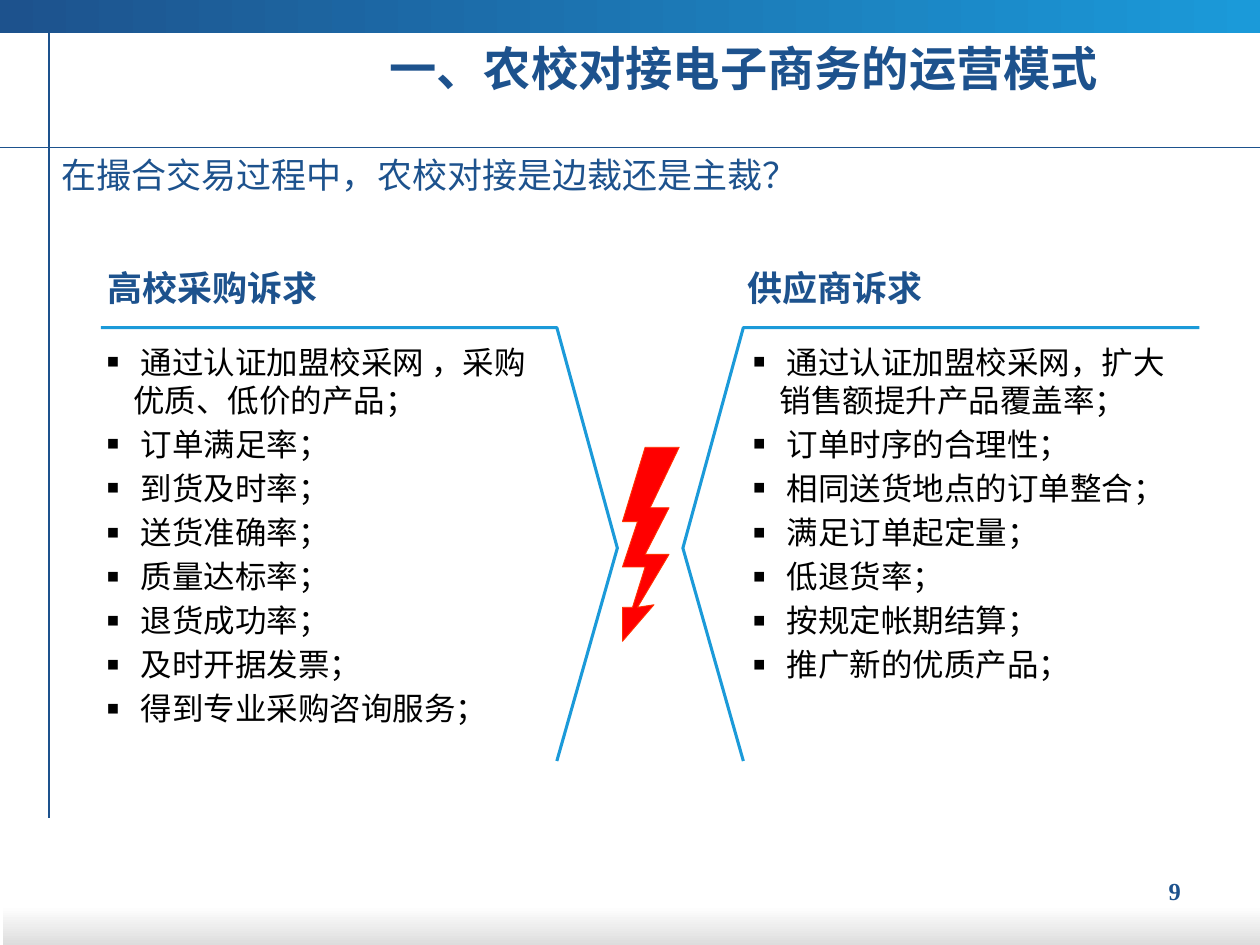
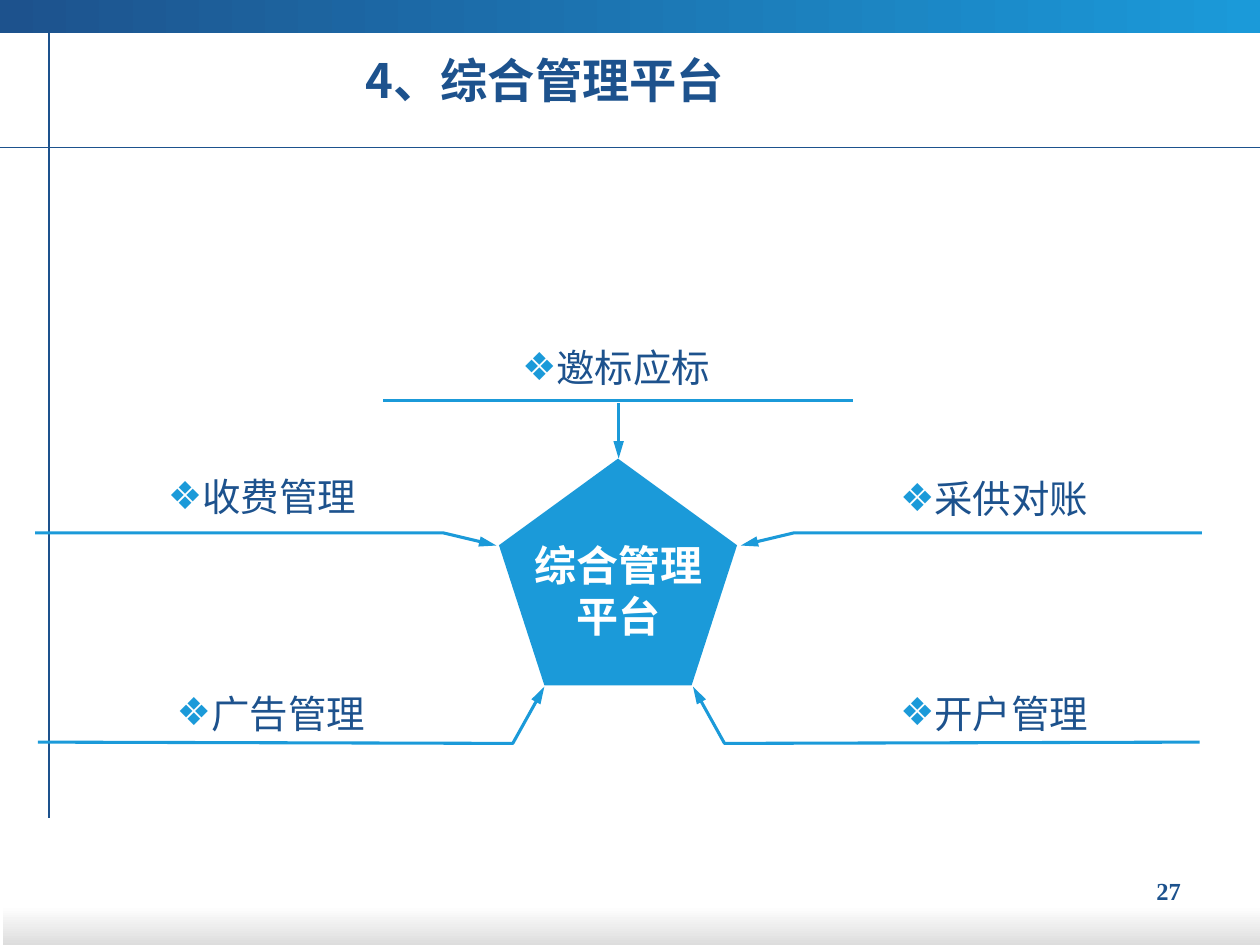
import pptx
import pptx.util
import pptx.dml.color
import pptx.enum.shapes
import pptx.enum.text
import pptx.oxml.ns
from lxml import etree

Inches = pptx.util.Inches
Pt = pptx.util.Pt
RGBColor = pptx.dml.color.RGBColor
MSO_SHAPE = pptx.enum.shapes.MSO_SHAPE
ALIGN = pptx.enum.text.PP_ALIGN
ANCHOR = pptx.enum.text.MSO_ANCHOR
AUTO_SIZE = pptx.enum.text.MSO_AUTO_SIZE
qn = pptx.oxml.ns.qn

NAVY = RGBColor(0x1D, 0x52, 0x8D)
SKY = RGBColor(0x1B, 0x9A, 0xD9)
BLACK = RGBColor(0, 0, 0)
WHITE = RGBColor(255, 255, 255)
GREY = RGBColor(0xDD, 0xDD, 0xDD)
RED = RGBColor(255, 0, 0)
ORANGE_RED = RGBColor(0xFF, 0x33, 0)

CJK_FONT = "Noto Sans CJK SC"
RULE_WIDTH = 1.75
LINE_HEIGHT = 1.2

BUYER_NEEDS = [
    "通过认证加盟校采网 ，采购优质、低价的产品；",
    "订单满足率；",
    "到货及时率；",
    "送货准确率；",
    "质量达标率；",
    "退货成功率；",
    "及时开据发票；",
    "得到专业采购咨询服务；",
]
SUPPLIER_NEEDS = [
    "通过认证加盟校采网，扩大销售额提升产品覆盖率；",
    "订单时序的合理性；",
    "相同送货地点的订单整合；",
    "满足订单起定量；",
    "低退货率；",
    "按规定帐期结算；",
    "推广新的优质产品；",
]
BOLT_POINTS = [
    (0.18, 0), (0, 0.59), (0.12, 0.59), (0, 0.95), (0.18, 0.95),
    (0.08, 1.27), (0, 1.27), (0, 1.54), (0.25, 1.25), (0.12, 1.27),
    (0.37, 0.85), (0.18, 0.85), (0.37, 0.48), (0.22, 0.48), (0.45, 0),
]


def add_span(para, text, size, color, font=CJK_FONT, bold=False):
    span = para.add_run()
    span.text = text
    span.font.size = Pt(size)
    span.font.name = font
    span.font.bold = bold
    span.font.color.rgb = color
    east_asian = etree.SubElement(span.font._element, qn("a:ea"))
    east_asian.set("typeface", CJK_FONT)
    para.line_spacing = Pt(round(size * LINE_HEIGHT, 1))


def add_bullet(para, symbol, color, percent=100):
    properties = para._p.get_or_add_pPr()
    bullet_color = etree.SubElement(properties, qn("a:buClr"))
    etree.SubElement(bullet_color, qn("a:srgbClr")).set("val", str(color))
    etree.SubElement(properties, qn("a:buSzPct")).set("val", str(percent * 1000))
    etree.SubElement(properties, qn("a:buFont")).set("typeface", "DejaVu Sans")
    etree.SubElement(properties, qn("a:buChar")).set("char", symbol)


def add_box(page, left, top, width, height, anchor=ANCHOR.TOP, inset=True):
    """Add a wrapping text box and return its text frame."""
    box = page.shapes.add_textbox(Inches(left), Inches(top), Inches(width), Inches(height))
    frame = box.text_frame
    frame.word_wrap = True
    frame.vertical_anchor = anchor
    if not inset:
        frame.margin_left = frame.margin_right = 0
        frame.margin_top = frame.margin_bottom = 0
    return frame


def add_rule(page, start, end, color, width):
    rule = page.shapes.add_connector(
        pptx.enum.shapes.MSO_CONNECTOR.STRAIGHT, *map(Inches, start + end))
    rule.line.color.rgb = color
    rule.line.width = Pt(width)
    etree.SubElement(rule._element.spPr, qn("a:effectLst"))
    return rule


def add_arrowhead(shape, end):
    head = etree.SubElement(shape.line._get_or_add_ln(), qn("a:" + end))
    head.set("type", "triangle")
    head.set("len", "lg")


def add_outline(page, points, color, width, fill=None):
    """Draw a path through points in inches; a fill closes it."""
    corners = [(Inches(x), Inches(y)) for x, y in points]
    builder = page.shapes.build_freeform(*corners[0])
    builder.add_line_segments(corners[1:], close=fill is not None)
    outline = builder.convert_to_shape()
    outline.shadow.inherit = False
    if fill is None:
        outline.fill.background()
    else:
        outline.fill.solid()
        outline.fill.fore_color.rgb = fill
    outline.line.color.rgb = color
    outline.line.width = Pt(width)
    return outline


def add_band(page, left, top, width, height, colors, angle):
    band = page.shapes.add_shape(
        MSO_SHAPE.RECTANGLE, Inches(left), Inches(top), Inches(width), Inches(height))
    band.shadow.inherit = False
    band.line.fill.background()
    band.fill.gradient()
    band.fill.gradient_angle = angle
    for stop, color in zip(band.fill.gradient_stops, colors):
        stop.color.rgb = color


def add_page(deck, title, title_left, title_top, number):
    """Add a slide with the shared bands, guide lines, page number and title."""
    page = deck.slides.add_slide(deck.slide_layouts[5])
    add_band(page, 0.02, 7.19, 9.98, 0.31, (WHITE, GREY), 270)
    add_band(page, 0, 0, 10, 0.26, (NAVY, SKY), 0)
    para = add_box(page, 8.62, 6.9, 0.85, 0.34).paragraphs[0]
    para.alignment = ALIGN.RIGHT
    add_span(para, str(number), 14, NAVY, "Times New Roman", True)
    add_rule(page, (0, 1.17), (10, 1.17), NAVY, 0.75)
    add_rule(page, (0.39, 0.24), (0.39, 6.49), NAVY, 0.75)

    heading = page.shapes.title
    heading.left, heading.top = Inches(title_left), Inches(title_top)
    heading.width, heading.height = Inches(7.01), Inches(0.58)
    frame = heading.text_frame
    frame.auto_size = AUTO_SIZE.NONE
    frame.word_wrap = True
    frame.vertical_anchor = ANCHOR.BOTTOM
    frame.paragraphs[0].alignment = ALIGN.LEFT
    add_span(frame.paragraphs[0], title, 27, NAVY, bold=True)
    return page


def add_needs_panel(page, left, top, heading, needs, heading_inset, list_inset, mirrored=False):
    """Draw a heading, a bracket pointing to the middle and a bulleted list."""
    width = 4.1
    bracket = [(0, 0), (3.62, 0), (width, 1.75), (3.62, 3.44)]
    add_outline(page, [(left + (width - x if mirrored else x), top + y) for x, y in bracket],
                SKY, RULE_WIDTH)
    frame = add_box(page, left + heading_inset, top - 0.48, 3.5, 0.33, ANCHOR.MIDDLE, False)
    add_span(frame.paragraphs[0], heading, 20, NAVY, "Arial", True)

    frame = add_box(page, left + list_inset, top + 0.12, 3.5, 4.55, inset=False)
    for index, need in enumerate(needs):
        para = frame.add_paragraph() if index else frame.paragraphs[0]
        properties = para._p.get_or_add_pPr()
        properties.set("marL", str(Inches(0.21)))
        properties.set("indent", str(-Inches(0.21)))
        if index:
            para.space_before = Pt(3.6)
        add_bullet(para, "■", BLACK, 40)
        add_span(para, " " + need, 18, BLACK)


def add_bolt(page, left, top):
    add_outline(page, [(left + x, top + y) for x, y in BOLT_POINTS], ORANGE_RED, 0.5, RED)


def add_label(page, left, top, width, text):
    para = add_box(page, left, top, width, 0.37, ANCHOR.BOTTOM, False).paragraphs[0]
    para.alignment = ALIGN.CENTER
    properties = para._p.get_or_add_pPr()
    properties.set("marL", "0")
    properties.set("indent", "0")
    add_bullet(para, "❖", SKY)
    add_span(para, text, 22, NAVY, "DejaVu Sans")


def add_hub(page, left, top, width, height, text):
    hub = page.shapes.add_shape(
        MSO_SHAPE.REGULAR_PENTAGON, Inches(left), Inches(top), Inches(width), Inches(height))
    hub.shadow.inherit = False
    hub.fill.solid()
    hub.fill.fore_color.rgb = SKY
    hub.line.fill.background()
    para = add_box(page, left + 0.15, top + 0.64, 1.6, 0.81, ANCHOR.MIDDLE, False).paragraphs[0]
    para.alignment = ALIGN.CENTER
    add_span(para, text, 24, WHITE, "Times New Roman", True)


def add_spokes(page, center, top):
    """Draw the upper arrow and two mirrored pairs of bent arrows around the hub."""
    add_rule(page, (center - 1.87, top), (center + 1.86, top), SKY, RULE_WIDTH)
    arrow = add_rule(page, (center, top + 0.02), (center, top + 0.46), SKY, RULE_WIDTH)
    add_arrowhead(arrow, "tailEnd")
    upper = [(0.97, 1.15), (1.39, 1.05), (4.63, 1.05)]
    lower = [(0.59, 2.27), (0.84, 2.72), (4.61, 2.71)]
    for bend in (upper, lower):
        for side in (-1, 1):
            spoke = add_outline(page, [(center + side * x, top + y) for x, y in bend],
                                SKY, RULE_WIDTH)
            add_arrowhead(spoke, "headEnd")


def add_needs_slide(deck):
    page = add_page(deck, "一、农校对接电子商务的运营模式", 2.99, 0.23, 9)
    question = add_box(page, 0.39, 1.17, 7.98, 0.44).paragraphs[0]
    add_span(question, "在撮合交易过程中，农校对接是边裁还是主裁？", 20, NAVY)
    add_needs_panel(page, 0.8, 2.6, "高校采购诉求", BUYER_NEEDS, 0.05, 0.05)
    add_needs_panel(page, 5.42, 2.6, "供应商诉求", SUPPLIER_NEEDS, 0.51, 0.56, True)
    add_bolt(page, 4.94, 3.55)


def add_platform_slide(deck):
    page = add_page(deck, "4、综合管理平台", 2.8, 0.33, 27)
    add_hub(page, 3.96, 3.64, 1.89, 1.8, "综合管理平台")
    add_spokes(page, 4.91, 3.18)
    for left, top, width, text in [
        (3.14, 2.73, 3.5, "邀标应标"),
        (0.33, 3.75, 3.5, "收费管理"),
        (6.27, 3.77, 3.24, "采供对账"),
        (0.4, 5.47, 3.5, "广告管理"),
        (6.27, 5.47, 3.24, "开户管理"),
    ]:
        add_label(page, left, top, width, text)


def main():
    deck = pptx.Presentation()
    deck.slide_width, deck.slide_height = Inches(10), Inches(7.5)
    add_needs_slide(deck)
    add_platform_slide(deck)
    deck.save("out.pptx")


if __name__ == "__main__":
    main()
